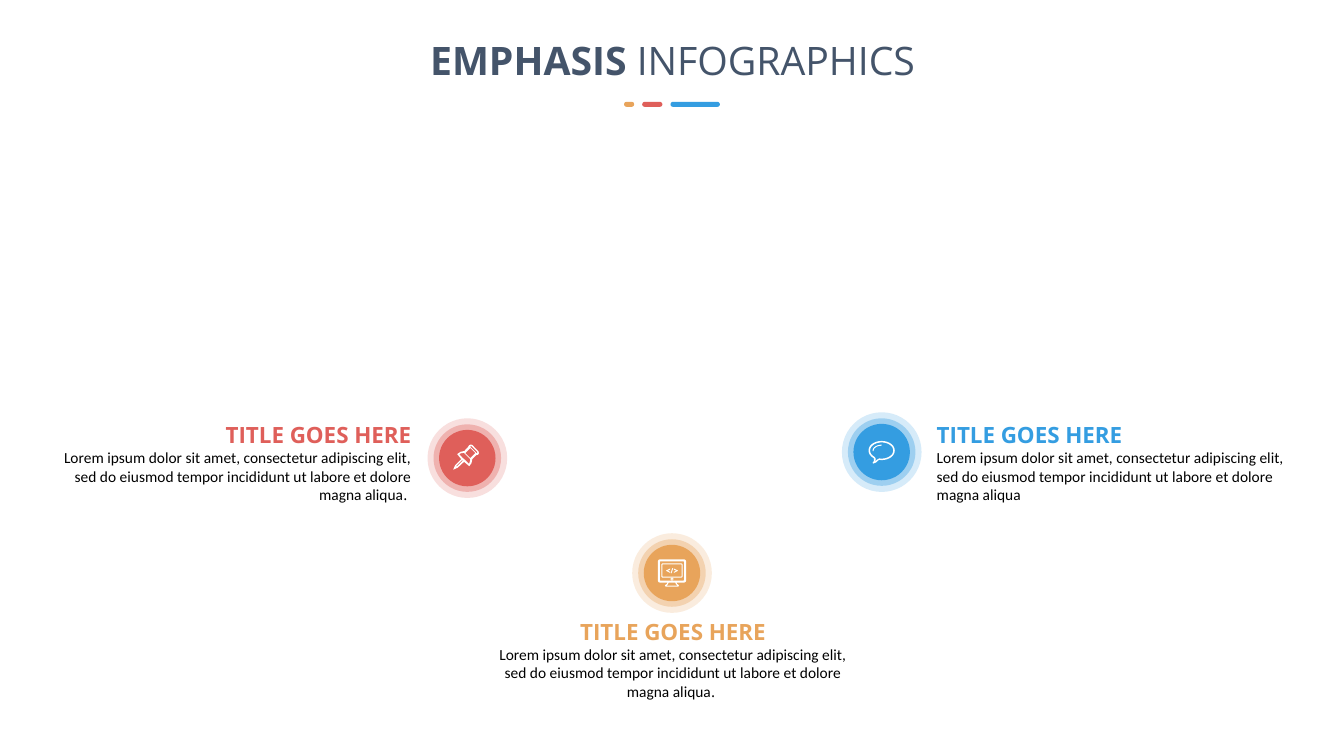
from math import cos, radians, sin

from lxml.etree import SubElement
from pptx import Presentation
from pptx.dml.color import RGBColor
from pptx.enum.shapes import MSO_SHAPE
from pptx.enum.text import MSO_ANCHOR, MSO_AUTO_SIZE, PP_ALIGN
from pptx.oxml.ns import qn
from pptx.util import Inches, Pt

RED, ORANGE, BLUE = "DF5F5A", "E8A45B", "349DE1"
WHITE, BLACK, SLATE = "FFFFFF", "000000", "44546A"
BADGE_SIZE = 0.79
BODY = ("Lorem ipsum dolor sit amet, consectetur adipiscing elit, "
        "sed do eiusmod tempor incididunt ut labore et dolore magna aliqua")


def rgb(color):
    return RGBColor.from_string(color)


def paint(shape, color, opacity=100):
    shape.shadow.inherit = False
    shape.line.fill.background()
    shape.fill.solid()
    shape.fill.fore_color.rgb = rgb(color)
    if opacity < 100:
        tint = shape.fill._xPr.find(".//" + qn("a:srgbClr"))
        SubElement(tint, qn("a:alpha"), val=str(opacity * 1000))


# Icon outlines, in thousandths of an inch from the badge centre
def arc(cx, cy, rx, ry, start=0, end=360, step=6):
    return [(cx + rx * cos(radians(a)), cy + ry * sin(radians(a)))
            for a in range(start, end + (step if end > start else -step),
                           step if end > start else -step)]


def rounded(half_width, top, bottom, r):
    corners = [(half_width - r, bottom - r, 0), (r - half_width, bottom - r, 90),
               (r - half_width, top + r, 180), (half_width - r, top + r, 270)]
    return [point for x, y, angle in corners
            for point in arc(x, y, r, r, angle, angle + 90, 15)]


def monitor_icon():
    frame = rounded(140, -135, 95, 22)
    stand = [(-45, 95), (-50, 107), (-65, 118), (-70, 128), (-60, 135),
             (60, 135), (70, 128), (65, 118), (50, 107), (45, 95)]
    corner = len(frame) // 4
    body = frame[:corner] + stand[::-1] + frame[corner:]
    stand_hole = [(-33, 95), (-40, 112), (-55, 125), (55, 125), (40, 112), (33, 95)]
    chevron = [(-57, -25), (-18, -45), (-18, -34), (-42, -23), (-18, -12),
               (-18, -1), (-57, -20)]
    slash = [(2, -48), (11, -46), (-4, 3), (-13, 1)]
    return [
        [body, rounded(120, -115, 75, 6), stand_hole],
        [rounded(105, -95, 45, 12), rounded(95, -85, 35, 4)],
        [arc(0, 60, 14, 14), arc(0, 60, 5, 5)],
        [chevron], [slash], [[(-x, y) for x, y in chevron]],
    ]


def pin_icon():
    outline = [(50, 10), (90, -30), (105, -33), (115, -45), (113, -65), (50, -130),
               (35, -135), (18, -128), (8, -110), (-30, -70), (-65, -63), (-100, -40),
               (-60, 10), (-120, 70), (-140, 115), (-95, 95), (-32, 37), (20, 80),
               (42, 50)]
    head = [(40, -120), (100, -60), (97, -50), (90, -50), (30, -110), (32, -118)]
    barrel = [(30, 0), (-20, -50), (30, -100), (80, -50)]
    needle = [(-98, 78), (-110, 84), (-106, 74), (-52, 20), (-43, 24)]
    collar = [(-20, 20), (-50, -6), (-80, -40), (-58, -49), (-32, -52), (28, 8),
              (28, 28), (18, 57)]
    return [[outline, head, barrel, needle, collar]]


def bubble_icon():
    rim = arc(0, -15, 130, 95, 126, 462) + [(-55, 103), (-85, 115), (-90, 106),
                                            (-78, 90)]
    hole = arc(0, -15, 115, 80, 126, 462) + [(-40, 72), (-65, 91), (-58, 68)]
    glint = arc(0, -15, 90, 58, 174, 270) + arc(0, -15, 80, 48, 270, 174)
    return [[rim, hole], [glint]]


def draw_icon(slide, center_x, center_y, parts):
    for first, *others in parts:
        builder = slide.shapes.build_freeform(*first[0], scale=Inches(1) / 1000)
        builder.add_line_segments(first[1:], close=True)
        for contour in others:
            builder.move_to(*contour[0])
            builder.add_line_segments(contour[1:], close=True)
        paint(builder.convert_to_shape(Inches(center_x), Inches(center_y)), WHITE)


def add_badge(slide, left, top, color, icon):
    center_x, center_y = left + BADGE_SIZE / 2, top + BADGE_SIZE / 2
    for size, opacity in ((BADGE_SIZE, 20), (0.67, 35), (0.56, 100)):
        ring = slide.shapes.add_shape(
            MSO_SHAPE.OVAL, Inches(center_x - size / 2), Inches(center_y - size / 2),
            Inches(size), Inches(size))
        paint(ring, color, opacity)
    draw_icon(slide, center_x, center_y, icon)


def add_run(paragraph, text, size, font, color, bold=False):
    run = paragraph.add_run()
    run.text = text
    run.font.size, run.font.name, run.font.bold = Pt(size), font, bold
    run.font.color.rgb = rgb(color)


def add_caption(slide, left, top, width, color, align, ending):
    caption = slide.shapes.add_textbox(
        Inches(left), Inches(top), Inches(width), Inches(0.82)).text_frame
    caption.word_wrap = True
    caption.auto_size = MSO_AUTO_SIZE.SHAPE_TO_FIT_TEXT
    caption.vertical_anchor = MSO_ANCHOR.MIDDLE
    caption.margin_left = caption.margin_right = 0
    caption.margin_top = caption.margin_bottom = 0
    paragraph = caption.paragraphs[0]
    paragraph.alignment, paragraph.space_after = align, Pt(12)
    add_run(paragraph, "TITLE GOES HERE", 16, "Open Sans", color, True)
    paragraph.add_line_break()
    add_run(paragraph, BODY, 11, "Calibri", BLACK)
    if ending:
        add_run(paragraph, ending, 11, "Open Sans", BLACK)


def add_heading(slide, left, top, width):
    heading = slide.shapes.add_textbox(
        Inches(left), Inches(top), Inches(width), Inches(0.57)).text_frame
    heading.word_wrap = True
    heading.auto_size = MSO_AUTO_SIZE.SHAPE_TO_FIT_TEXT
    paragraph = heading.paragraphs[0]
    paragraph.alignment = PP_ALIGN.CENTER
    add_run(paragraph, "EMPHASIS ", 28, "Open Sans", SLATE, True)
    add_run(paragraph, "INFOGRAPHICS", 28, "Open Sans", SLATE)

    # Dashes under the heading
    dash_left = left + 2.26
    for dash_width, color in ((0.1, ORANGE), (0.2, RED), (0.49, BLUE)):
        dash = slide.shapes.add_shape(
            MSO_SHAPE.ROUNDED_RECTANGLE, Inches(dash_left), Inches(top + 0.7),
            Inches(dash_width), Inches(0.05))
        dash.adjustments[0] = 0.5
        paint(dash, color)
        dash_left += dash_width + 0.08


def main():
    deck = Presentation()
    deck.slide_width, deck.slide_height = Inches(13.33), Inches(7.5)
    slide = deck.slides.add_slide(deck.slide_layouts[6])

    # Badges with their icons
    add_badge(slide, 6.27, 5.29, ORANGE, monitor_icon())
    add_badge(slide, 4.24, 4.15, RED, pin_icon())
    add_badge(slide, 8.35, 4.09, BLUE, bubble_icon())

    # Captions
    add_caption(slide, 0.53, 4.18, 3.55, RED, PP_ALIGN.RIGHT, ". ")
    add_caption(slide, 4.88, 6.13, 3.59, ORANGE, PP_ALIGN.CENTER, ". ")
    add_caption(slide, 9.29, 4.18, 3.52, BLUE, PP_ALIGN.LEFT, "")

    add_heading(slide, 3.93, 0.31, 5.48)
    deck.save("out.pptx")


if __name__ == "__main__":
    main()
